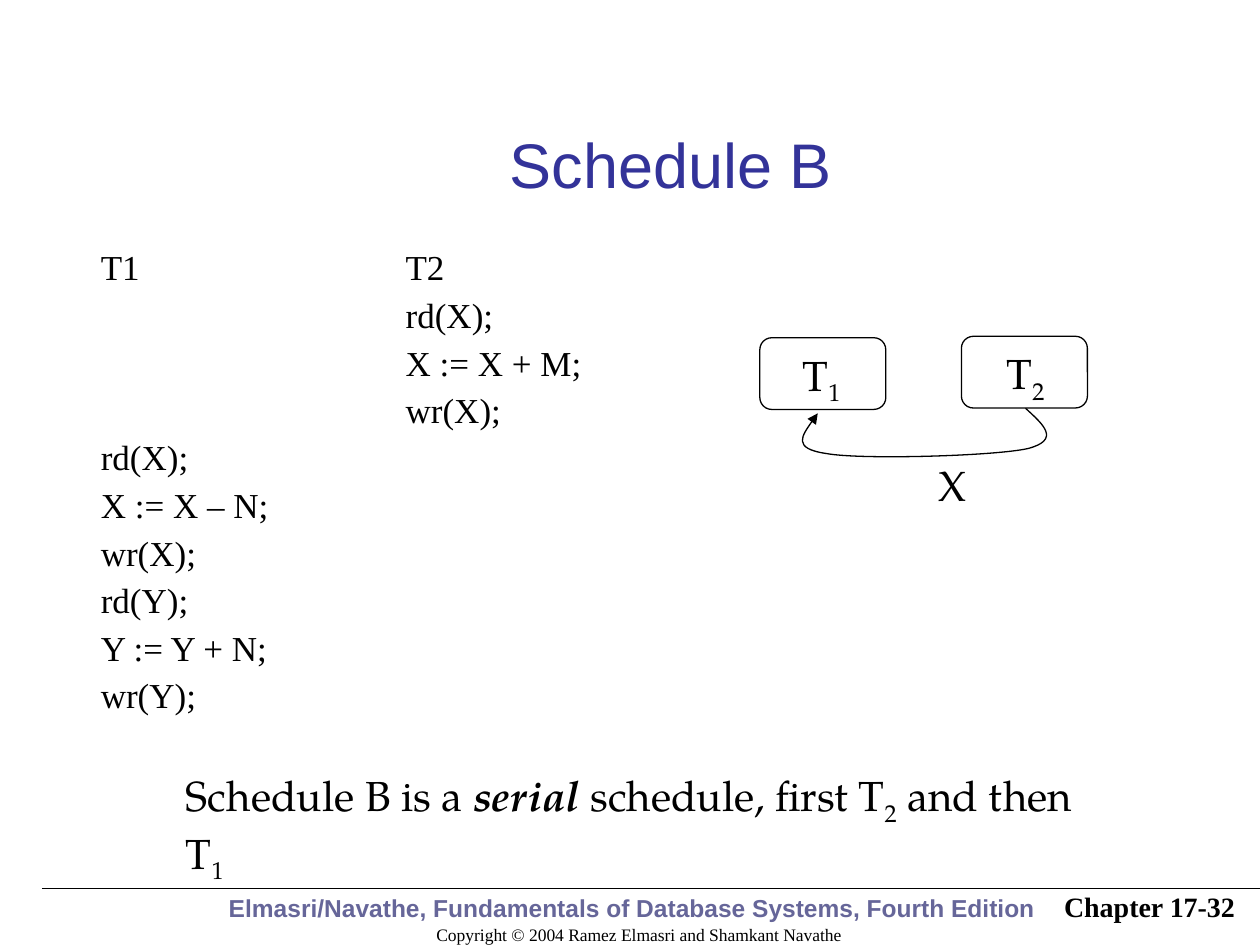
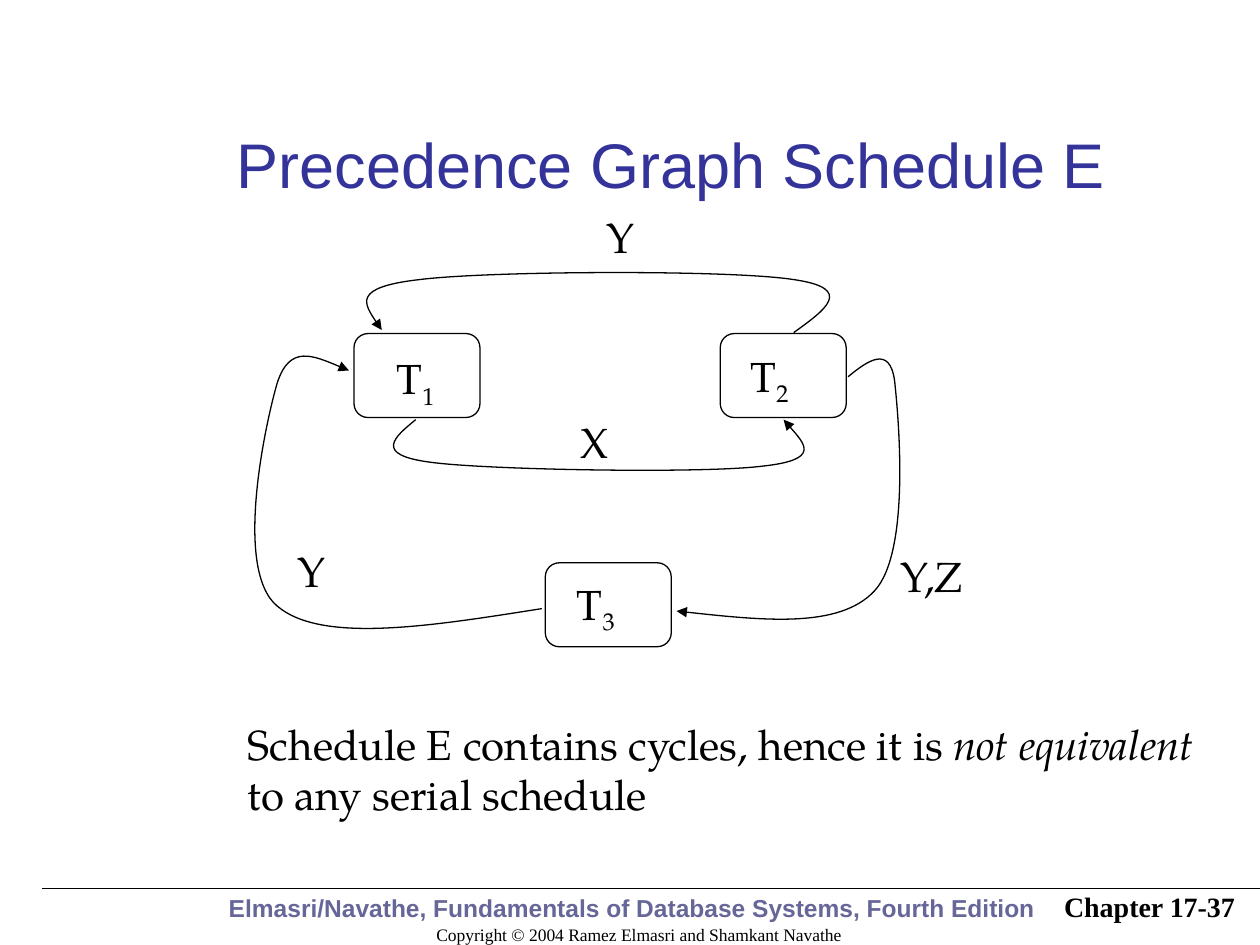
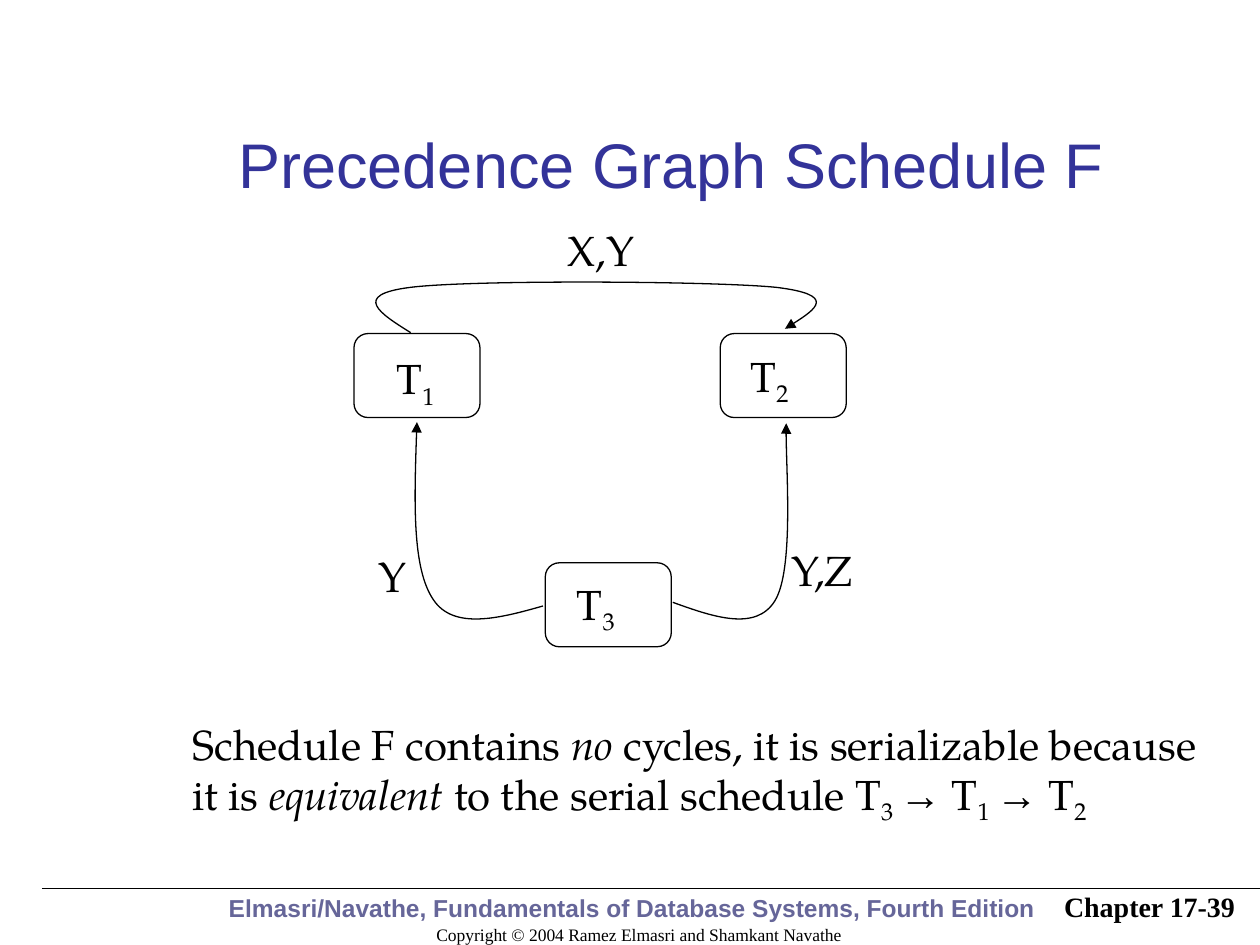
from dataclasses import dataclass

from lxml.etree import SubElement
from pptx import Presentation
from pptx.dml.color import RGBColor
from pptx.enum.shapes import MSO_CONNECTOR as Link, MSO_SHAPE as Form
from pptx.enum.text import MSO_ANCHOR as Anchor, PP_ALIGN as Align
from pptx.oxml.ns import qn
from pptx.util import Pt

# Shared style
BLACK = RGBColor(0x00, 0x00, 0x00)
NAVY = RGBColor(0x33, 0x33, 0x99)
SLATE = RGBColor(0x66, 0x66, 0x99)
SANS, SERIF, BOOK = "Arial", "Times New Roman", "TeX Gyre Pagella"
THIN = Pt(0.75)
LINE = 22.14  # line height of the code text
GAP = 5  # space before a code line
EDITION = "Elmasri/Navathe, Fundamentals of Database Systems, Fourth Edition"
RIGHTS = "Copyright © 2004 Ramez Elmasri and Shamkant Navathe"


@dataclass(frozen=True)
class Font:
    name: str
    size: float
    color: RGBColor = BLACK
    bold: bool = False


BODY = Font(BOOK, 24)
CODE = Font(SERIF, 20)


@dataclass(frozen=True)
class Box:
    left: float
    top: float
    width: float
    height: float

    def place(self) -> tuple:
        return Pt(self.left), Pt(self.top), Pt(self.width), Pt(self.height)


@dataclass(frozen=True)
class Piece:
    """A run of text; marks: b bold, i italic, s subscript, a Arial."""
    text: str
    marks: str = ""


@dataclass(frozen=True)
class Node:
    digit: str
    box: Box
    right: float  # offset of the label from the box
    down: float
    form: int = Form.FLOWCHART_ALTERNATE_PROCESS


@dataclass(frozen=True)
class Edge:
    label: str
    left: float  # place of the label
    top: float
    points: tuple  # start, then two handles and an end for each curve


@dataclass(frozen=True)
class Page:
    title: str
    number: int
    nodes: tuple
    edges: tuple
    note: Box
    pieces: tuple


def style(run, font: Font) -> None:
    run.font.name, run.font.size = font.name, Pt(font.size)
    run.font.bold = font.bold
    run.font.color.rgb = font.color


def write(slide, box: Box, pieces: tuple, font: Font = BODY, align=Align.LEFT,
          anchor=Anchor.TOP, wrap: bool = True) -> None:
    frame = slide.shapes.add_textbox(*box.place()).text_frame
    frame.word_wrap, frame.vertical_anchor = wrap, anchor
    para = frame.paragraphs[0]
    para.alignment = align
    for piece in pieces:
        run = para.add_run()
        run.text = piece.text
        style(run, font)
        if "b" in piece.marks:
            run.font.bold = True
        if "i" in piece.marks:
            run.font.italic = True
        if "a" in piece.marks:
            run.font.name = SANS
        if "s" in piece.marks:
            run._r.get_or_add_rPr().set("baseline", "-25000")


def outline(shape) -> None:
    shape.shadow.inherit = False
    shape.fill.background()
    shape.line.color.rgb = BLACK
    shape.line.width = THIN


def draw_node(slide, node: Node) -> None:
    box = node.box
    outline(slide.shapes.add_shape(node.form, *box.place()))
    spot = Box(box.left + node.right, box.top + node.down, 48, 40)
    write(slide, spot, (Piece("T"), Piece(node.digit, "s")))


def draw_edge(slide, edge: Edge) -> None:
    spots = [(Pt(x), Pt(y)) for x, y in edge.points]
    maker = slide.shapes.build_freeform(*spots[0], scale=1.0)
    maker.add_line_segments(spots[1:], close=False)
    shape = maker.convert_to_shape()
    outline(shape)
    # Turn each three line steps into one curve
    steps = list(shape._element.iter(qn("a:lnTo")))
    trace = steps[0].getparent()
    for first in range(0, len(steps), 3):
        curve = SubElement(trace, qn("a:cubicBezTo"))
        for step in steps[first:first + 3]:
            curve.append(step[0])
            trace.remove(step)
    stroke = shape._element.spPr.find(qn("a:ln"))
    SubElement(stroke, qn("a:tailEnd"), type="triangle")
    width = 30 if len(edge.label) == 1 else 52.5
    write(slide, Box(edge.left, edge.top, width, 36), (Piece(edge.label),),
          wrap=False)


def draw_frame(slide, page: Page) -> None:
    """Title, rule and footers."""
    write(slide, Box(205.2, 507.6, 319.7, 36), (Piece(RIGHTS),),
          Font(SERIF, 10), Align.CENTER, Anchor.BOTTOM)
    write(slide, Box(62.8, 494.6, 596.9, 36), (Piece(EDITION),),
          Font(SANS, 14, SLATE, True), Align.CENTER, Anchor.BOTTOM)
    rule = slide.shapes.add_connector(Link.STRAIGHT, Pt(24), Pt(507.6),
                                      Pt(720), Pt(507.6))
    rule.line.color.rgb, rule.line.width = BLACK, THIN
    SubElement(rule._element.spPr, qn("a:effectLst"))
    write(slide, Box(563, 502.6, 149.8, 30.2),
          (Piece(f"Chapter 17-{page.number}"),),
          Font(SERIF, 16, BLACK, True), Align.RIGHT, Anchor.MIDDLE)
    write(slide, Box(100.8, 48.2, 565.2, 90), (Piece(page.title),),
          Font(SANS, 36, NAVY), Align.CENTER, Anchor.MIDDLE)


def draw_code(slide) -> None:
    """The steps of both transactions, side by side."""
    steps = (("T1", "rd(X);", "X := X – N;", "wr(X);",
              "rd(Y);", "Y := Y + N;", "wr(Y);"),
             ("T2", "rd(X);", "X := X + M;", "wr(X);"))
    waits = (3, 0)  # lines that pass before the first step
    box = Box(50.4, 139, 353.5, 347)
    table = slide.shapes.add_table(2, 2, *box.place()).table
    table.first_row = table.horz_banding = False
    for col, width in zip(table.columns, (174.2, 179.3)):
        col.width = Pt(width)
    for row, height in zip(table.rows, (292.3, 54.7)):
        row.height = Pt(height)
    for cell in table.iter_cells():
        cell.fill.background()
    for col, (lines, wait) in enumerate(zip(steps, waits)):
        frame = table.cell(0, col).text_frame
        frame.text = "\n".join(lines)
        for index, para in enumerate(frame.paragraphs):
            if index:
                skip = wait * (LINE + GAP) if index == 1 else 0
                para.space_before = Pt(round(GAP + skip, 1))
            style(para.runs[0], CODE)


# Graph nodes
PAIR = (
    Node("1", Box(434.2, 193, 72, 41), 17.3, 2.9, Form.ROUNDED_RECTANGLE),
    Node("2", Box(549.4, 192.2, 72, 41), 18.7, 2.9, Form.ROUNDED_RECTANGLE),
)
TRIO = (
    Node("1", Box(202.3, 190.6, 72, 48), 17.3, 7.4),
    Node("2", Box(411.6, 190.6, 72, 48), 10.3, 6),
    Node("3", Box(311.6, 321.6, 72, 48), 11, 5.3),
)

PAGES = (
    Page("Schedule B", 32, PAIR, (
        Edge("X", 529.2, 259.2, (
            (586, 233.3), (596.2, 242.6), (606.2, 251.3), (587.5, 256.3),
            (568.8, 260.6), (491.8, 262.8), (472.3, 259.2),
            (452.2, 256.3), (460.1, 246.2), (467.3, 236.2))),
    ), Box(99.2, 436.3, 547.2, 72), (
        Piece("Schedule B is a "), Piece("serial", "bi"),
        Piece(" schedule, first T"), Piece("2", "s"),
        Piece(" and then T"), Piece("1", "s"))),
    Page("Precedence Graph Schedule E", 37, TRIO, (
        Edge("Y", 339.8, 117.4, (
            (453.6, 190.1), (471.6, 177.1), (488.9, 164.9), (453.6, 159.8),
            (417.6, 154.1), (279.4, 154.8), (239.8, 159.8),
            (200.9, 164.2), (209.5, 176.4), (218.2, 188.6))),
        Edge("X", 324.7, 234.7, (
            (237.6, 239.8), (225.4, 249.8), (213.1, 259.9), (246.2, 264.2),
            (278.6, 268.6), (401.8, 270.7), (435.6, 266.4),
            (469.4, 262.8), (457.9, 251.3), (447.8, 239.8))),
        Edge("Y,Z", 507.6, 311, (
            (484.6, 215.3), (496.1, 205.9), (508.3, 197.3), (511.2, 217.4),
            (513.4, 237.6), (520.6, 315.4), (499.7, 337.7),
            (479.5, 359.3), (432.7, 354.2), (386.6, 349.2))),
        Edge("Y", 162.7, 308.2, (
            (309.6, 347.8), (246.2, 357.8), (183.6, 367.9), (158.4, 346.3),
            (133.2, 325.4), (151.9, 241.2), (158.4, 218.9),
            (165.6, 196.6), (182.2, 204.5), (199.4, 211.7))),
    ), Box(134.6, 406.8, 569.5, 65), (
        Piece("Schedule E contains cycles, hence it is "),
        Piece("not equivalent", "i"), Piece(" to any serial schedule"))),
    Page("Precedence Graph Schedule F", 39, TRIO, (
        Edge("X,Y", 317.5, 124.6, (
            (234.7, 190.1), (217.4, 179.3), (200.2, 168.5), (234.7, 164.2),
            (270, 159.8), (407.5, 160.6), (443.5, 164.2),
            (478.8, 168.5), (463.7, 178.6), (448.6, 187.9))),
        Edge("Y,Z", 445, 307.4, (
            (384.5, 344.2), (408.2, 352.8), (432, 360.7), (442.8, 343.4),
            (453.6, 326.2), (448.6, 259.2), (449.3, 241.9))),
        Edge("Y", 209.5, 311, (
            (310.3, 346.3), (285.1, 353.5), (259.2, 360), (247.7, 342.7),
            (235.4, 324.7), (236.9, 283), (238.3, 241.2))),
    ), Box(103, 406.8, 599.8, 69), (
        Piece("Schedule F contains "), Piece("no", "i"),
        Piece(" cycles, it is serializable because it is "),
        Piece("equivalent ", "i"), Piece("to the serial schedule T"),
        Piece("3 ", "s"), Piece("→", "a"), Piece(" T"),
        Piece("1 ", "s"), Piece("→", "a"), Piece(" T"), Piece("2", "s"))),
)


def main() -> None:
    deck = Presentation()
    deck.slide_width, deck.slide_height = Pt(720), Pt(540)
    blank = deck.slide_layouts[6]
    for page in PAGES:
        slide = deck.slides.add_slide(blank)
        draw_frame(slide, page)
        if page.nodes is PAIR:
            draw_code(slide)
        for node in page.nodes:
            draw_node(slide, node)
        for edge in page.edges:
            draw_edge(slide, edge)
        write(slide, page.note, page.pieces)
    deck.save("out.pptx")


if __name__ == "__main__":
    main()
